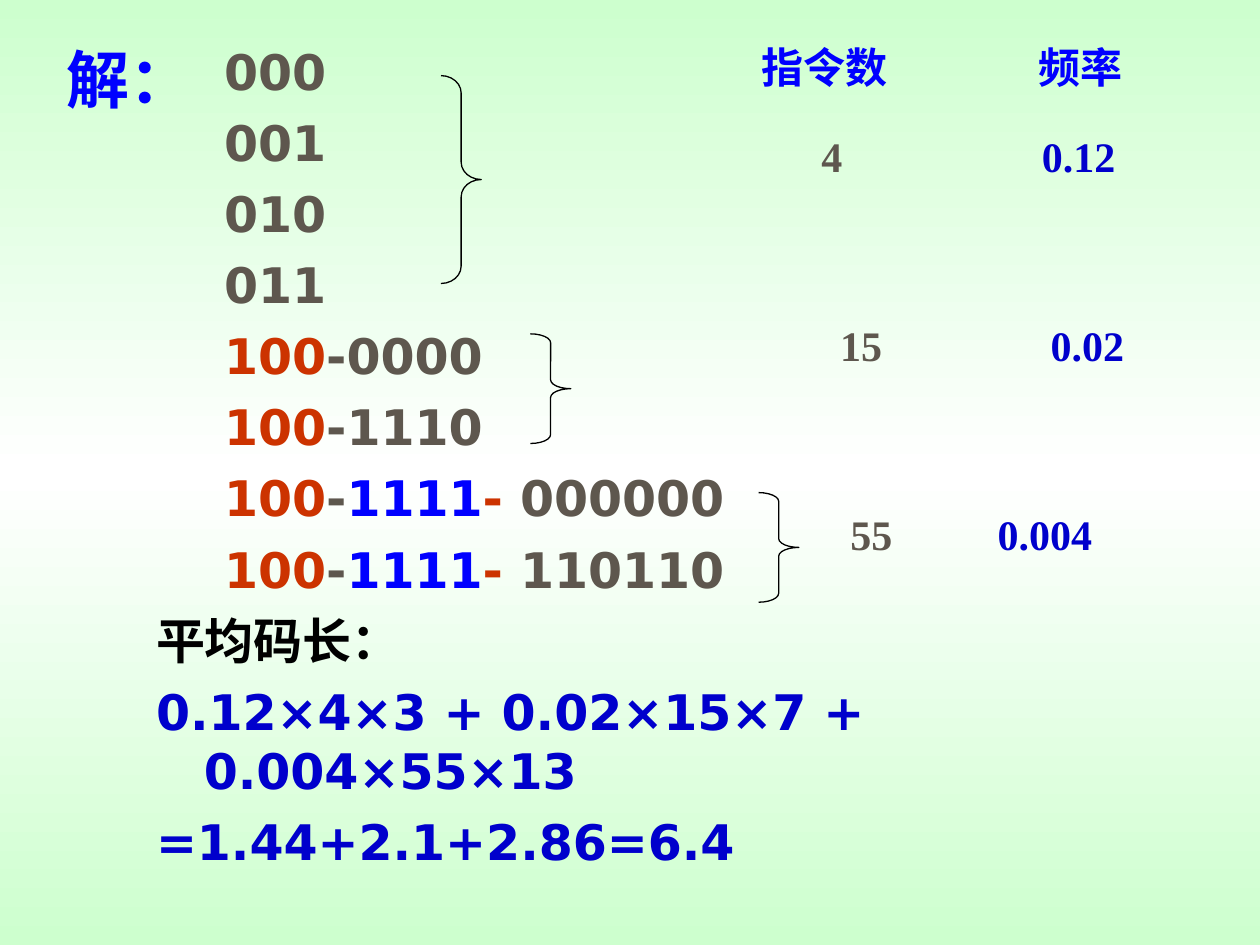
import pptx
import pptx.util
import pptx.dml.color
import pptx.enum.shapes
import pptx.enum.text
import pptx.oxml.ns
import lxml.etree
from pptx.util import Inches

THEME = {
    "gray": "5E574E", "red": "CC3300", "blue": "0000FF", "navy": "0000CC", "black": "000000",
    "edge": "CDFFCE", "middle": "FFFFFF",
    "code_font": "DejaVu Sans", "title_font": "Montserrat", "table_font": "Times New Roman",
    "title": 36, "body": 28, "table": 24, "line": 0.74, "space": 7,
}

PLAIN_CODES = ["000", "001", "010", "011"]
MIDDLE_CODES = ["0000", "1110"]
LONG_CODES = ["000000", "110110"]
codes = (
    [[(code, "gray")] for code in PLAIN_CODES]
    + [[("100", "red"), ("-" + code, "gray")] for code in MIDDLE_CODES]
    + [[("100", "red"), ("-", "gray"), ("1111", "blue"), ("- ", "red"), (code, "gray")]
       for code in LONG_CODES]
)
RESULT = [
    [("平均码长：", "black")],
    [("0.12×4×3 + 0.02×15×7 + 0.004×55×13", "navy")],
    [("=1.44+2.1+2.86=6.4", "navy")],
]
HEADINGS = [("指令数", 5.92, 1.22), ("频率", 8.11, 0.9)]
FREQUENCIES = [
    ("4", "0.12", 6.42, 0.99, 2.76, 1.75),
    ("15", "0.02", 6.57, 2.49, 2.53, 1.67),
    ("55", "0.004", 6.65, 3.99, 2.2, 1.17),
]
BRACES = [(3.5, 0.6, 1.65, 0.43), (4.21, 2.65, 0.87, 0.22), (6.02, 3.91, 0.87, 0.22)]


def color(name):
    return pptx.dml.color.RGBColor.from_string(THEME[name])


def add_box(left, top, width, height):
    frame = slide.shapes.add_textbox(
        Inches(left), Inches(top), Inches(width), Inches(height)).text_frame
    frame.word_wrap = True
    return frame


def add_runs(paragraph, runs, font, size):
    for text, color_name in runs:
        run = paragraph.add_run()
        run.text = text
        run.font.name = THEME[font]
        run.font.size = pptx.util.Pt(THEME[size])
        run.font.bold = True
        run.font.color.rgb = color(color_name)


def set_indent(paragraph, left, first):
    properties = paragraph._p.get_or_add_pPr()
    properties.set("marL", str(Inches(left)))
    properties.set("indent", str(Inches(first)))


def add_tab(paragraph, position):
    name = pptx.oxml.ns.qn
    tabs = lxml.etree.SubElement(paragraph._p.get_or_add_pPr(), name("a:tabLst"))
    lxml.etree.SubElement(tabs, name("a:tab"), pos=str(Inches(position)), algn="l")


presentation = pptx.Presentation()
presentation.slide_width, presentation.slide_height = Inches(10), Inches(7.5)
slide = presentation.slides.add_slide(presentation.slide_layouts[6])

background = slide.background.fill
background.gradient()
background.gradient_angle = 270
stops = background._fill._gradFill.gsLst
stops.insert(1, lxml.etree.fromstring(lxml.etree.tostring(stops[0])))
for stop, position, name in zip(background.gradient_stops, (0, 0.5, 1), ("edge", "middle", "edge")):
    stop.position = position
    stop.color.rgb = color(name)

body = add_box(1.14, 0.28, 8.5, 6.93)
for index, runs in enumerate(codes + RESULT):
    paragraph = body.add_paragraph() if index else body.paragraphs[0]
    paragraph.space_before = pptx.util.Pt(THEME["space"])
    if index < len(codes):
        set_indent(paragraph, 0.54, 0)
    else:
        set_indent(paragraph, 0.38, -0.38)
    add_runs(paragraph, runs, "code_font", "body")

title = add_box(0.43, 0, 8.5, 1.25)
title.vertical_anchor = pptx.enum.text.MSO_ANCHOR.MIDDLE
add_runs(title.paragraphs[0], [("解：", "blue")], "title_font", "title")

for text, left, width in HEADINGS:
    heading = add_box(left, 0.28, width, 0.5)
    heading.paragraphs[0].alignment = pptx.enum.text.PP_ALIGN.RIGHT
    add_runs(heading.paragraphs[0], [(text, "blue")], "table_font", "table")

for count, frequency, left, top, width, tab in FREQUENCIES:
    paragraph = add_box(left, top, width, 0.5).paragraphs[0]
    add_tab(paragraph, tab)
    add_runs(paragraph, [(count + "\t", "gray"), (frequency, "navy")], "table_font", "table")

for left, top, height, curve in BRACES:
    brace = slide.shapes.add_shape(
        pptx.enum.shapes.MSO_SHAPE.RIGHT_BRACE,
        Inches(left), Inches(top), Inches(0.32), Inches(height))
    brace.adjustments[0] = curve
    brace.shadow.inherit = False
    brace.fill.background()
    brace.line.color.rgb = color("black")
    brace.line.width = pptx.util.Pt(THEME["line"])

presentation.save("out.pptx")
